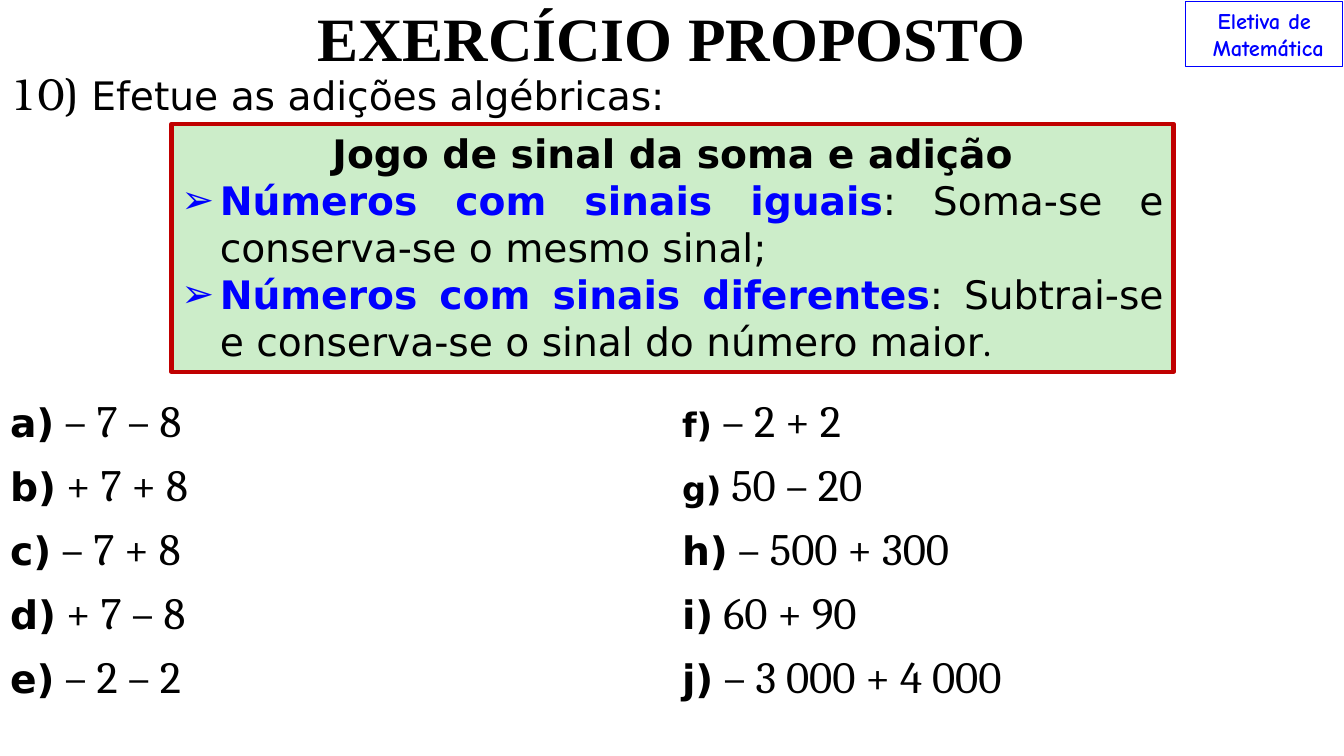
from lxml.etree import SubElement
from pptx import Presentation
from pptx.dml.color import RGBColor
from pptx.enum.shapes import MSO_SHAPE
from pptx.enum.text import MSO_ANCHOR, MSO_AUTO_SIZE, PP_ALIGN
from pptx.oxml.ns import qn
from pptx.util import Inches, Pt

BLACK = RGBColor(0, 0, 0)
BLUE = RGBColor(0, 0, 255)
RED = RGBColor(0xC0, 0, 0)
GREEN = RGBColor(0xCC, 0xED, 0xC9)

SANS = "DejaVu Sans"
SERIF = "Cambria"

LEFT_EXERCISES = [
    ("a)", 28, " – 7 – 8"),
    ("b)", 28, " + 7 + 8"),
    ("c)", 28, " – 7 + 8"),
    ("d)", 28, " + 7 – 8"),
    ("e)", 28, " – 2 – 2"),
]
RIGHT_EXERCISES = [
    ("f)", 24, " – 2 + 2"),
    ("g)", 24, " 50 – 20"),
    ("h)", 28, " – 500 + 300"),
    ("i)", 28, " 60 + 90"),
    ("j)", 28, " – 3 000 + 4 000"),
]
RULES = [
    ("Números com sinais iguais", ": Soma-se e conserva-se o mesmo sinal;", ""),
    ("Números com sinais diferentes",
     ": Subtrai-se e conserva-se o sinal do número maior", "."),
]


def place(shape, left, top, width, height):
    shape.left, shape.top = Inches(left), Inches(top)
    shape.width, shape.height = Inches(width), Inches(height)


def add_run(paragraph, text, size, font, color=BLACK, bold=False):
    run = paragraph.add_run()
    run.text = text
    run.font.size = Pt(size)
    run.font.name = font
    run.font.color.rgb = color
    run.font.bold = bold


def set_bullet(paragraph, character=None):
    properties = paragraph._p.get_or_add_pPr()
    indent = Inches(0.38) if character else 0
    properties.set("marL", str(indent))
    properties.set("indent", str(-indent))
    if character:
        color = SubElement(properties, qn("a:buClr"))
        SubElement(color, qn("a:srgbClr"), val=str(BLUE))
        SubElement(properties, qn("a:buChar"), char=character)
    else:
        SubElement(properties, qn("a:buNone"))
    paragraph.space_before = Pt(0)


def format_title(title):
    place(title, 0, 0, 13.33, 0.74)
    title.text_frame.auto_size = MSO_AUTO_SIZE.NONE
    title.text_frame.vertical_anchor = MSO_ANCHOR.MIDDLE
    paragraph = title.text_frame.paragraphs[0]
    paragraph.alignment = PP_ALIGN.CENTER
    add_run(paragraph, "EXERCÍCIO PROPOSTO", 44, "Times New Roman", bold=True)


def format_rules(body):
    place(body, 1.7, 1.23, 9.94, 2.46)
    body.fill.solid()
    body.fill.fore_color.rgb = GREEN
    body.line.color.rgb = RED
    body.line.width = Pt(3)
    text_frame = body.text_frame
    text_frame.auto_size = MSO_AUTO_SIZE.NONE
    heading = text_frame.paragraphs[0]
    set_bullet(heading)
    heading.alignment = PP_ALIGN.CENTER
    add_run(heading, "Jogo de sinal da soma e adição", 28, SANS, bold=True)
    for name, rule, ending in RULES:
        paragraph = text_frame.add_paragraph()
        set_bullet(paragraph, "➢")
        paragraph.alignment = PP_ALIGN.JUSTIFY
        add_run(paragraph, name, 28, SANS, BLUE, True)
        add_run(paragraph, rule, 28, SANS)
        if ending:
            add_run(paragraph, ending, 28, SERIF)


def add_question(slide):
    question = slide.shapes.add_textbox(
        Inches(0), Inches(0.6), Inches(13.33), Inches(0.64))
    question.text_frame.word_wrap = True
    paragraph = question.text_frame.paragraphs[0]
    paragraph.alignment = PP_ALIGN.JUSTIFY
    add_run(paragraph, "10)", 32, "TeX Gyre Bonum")
    add_run(paragraph, " Efetue as adições algébricas:", 28, SANS)


def add_subject_label(slide):
    label = slide.shapes.add_shape(
        MSO_SHAPE.RECTANGLE, Inches(11.76), Inches(0.02), Inches(1.56), Inches(0.64))
    label.shadow.inherit = False
    label.fill.background()
    label.line.color.rgb = BLUE
    label.line.width = Pt(0.75)
    text_frame = label.text_frame
    text_frame.word_wrap = False
    text_frame.vertical_anchor = MSO_ANCHOR.TOP
    text_frame.text = "Eletiva de\n Matemática"
    for paragraph in text_frame.paragraphs:
        paragraph.alignment = PP_ALIGN.CENTER
        font = paragraph.runs[0].font
        font.size = Pt(16)
        font.name = "Comic Neue"
        font.bold = True
        font.color.rgb = BLUE


def add_exercises(slide):
    columns = [LEFT_EXERCISES, RIGHT_EXERCISES]
    table = slide.shapes.add_table(
        len(LEFT_EXERCISES), len(columns),
        Inches(0), Inches(3.89), Inches(13.33), Inches(3.17)).table
    table.first_row = False
    table.horz_banding = False
    for column, exercises in enumerate(columns):
        for row, (letter, size, expression) in enumerate(exercises):
            cell = table.cell(row, column)
            cell.fill.background()
            paragraph = cell.text_frame.paragraphs[0]
            add_run(paragraph, letter, size, SANS, bold=True)
            add_run(paragraph, expression, 32, SERIF)


def main():
    presentation = Presentation()
    presentation.slide_width = Inches(13.33)
    presentation.slide_height = Inches(7.5)
    slide = presentation.slides.add_slide(presentation.slide_layouts[1])
    format_title(slide.shapes.title)
    format_rules(slide.placeholders[1])
    add_question(slide)
    add_subject_label(slide)
    add_exercises(slide)
    presentation.save("out.pptx")


if __name__ == "__main__":
    main()
